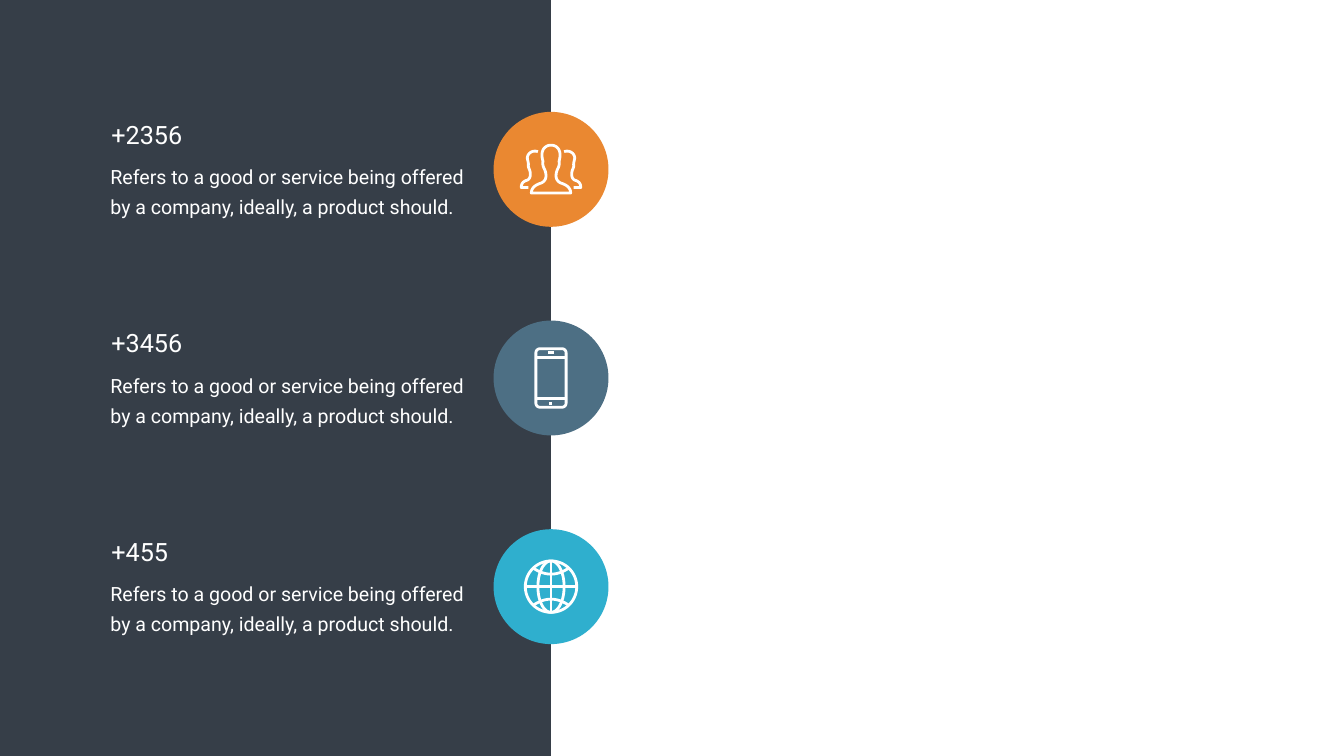
from dataclasses import dataclass
from math import cos, pi, sin

from lxml import etree
from pptx import Presentation
from pptx import util as u
from pptx.dml.color import RGBColor
from pptx.enum import shapes, text
from pptx.oxml.ns import qn

Point = tuple[float, float]


@dataclass(frozen=True)
class Theme:
    font: str = "Roboto"
    panel: str = "363E48"
    white: str = "FFFFFF"
    orange: str = "EA8831"
    slate: str = "4D6F84"
    cyan: str = "2FAFCE"
    value_size: float = 36
    body_size: float = 28
    leading: float = 43
    stroke: float = 4


@dataclass(frozen=True)
class Stroke:
    points: list[Point]
    closed: bool = False


@dataclass(frozen=True)
class Stat:
    value: str
    color: str
    icon: list[Stroke]


T = Theme()
PANEL_W, SLIDE_W, SLIDE_H = 10.93, 26.66, 15
FIRST_Y, PITCH, DIAMETER = 3.36, 4.14, 2.28
BODY = "Refers to a good or service being offered by a company, ideally, a product should."


def curve(start: Point, *segments: tuple[Point, Point, Point], steps: int = 12) -> list[Point]:
    points = [start]
    for a, b, end in segments:
        p0 = points[-1]
        for i in range(1, steps + 1):
            t = i / steps
            weights = ((1 - t) ** 3, 3 * t * (1 - t) ** 2, 3 * t * t * (1 - t), t ** 3)
            points.append(tuple(sum(w * q[k] for w, q in zip(weights, (p0, a, b, end)))
                                for k in (0, 1)))
    return points


def arc(cx: float, cy: float, rx: float, ry: float,
        start: float = 0, sweep: float = 360, steps: int = 72) -> list[Point]:
    angles = [(start + sweep * i / steps) * pi / 180 for i in range(steps + 1)]
    return [(cx + rx * cos(a), cy + ry * sin(a)) for a in angles]


def mirror(points: list[Point], flip_x: int = -1, flip_y: int = 1) -> list[Point]:
    return [(x * flip_x, y * flip_y) for x, y in points]


def people_icon() -> list[Stroke]:
    front = curve((0, -.48),
                  ((.1, -.48), (.23, -.4), (.16, -.16)),
                  ((.18, -.02), (.1, -.02), (.1, .13)),
                  ((.1, .23), (.18, .27), (.22, .28)),
                  ((.3, .31), (.39, .36), (.39, .47)))
    side = curve((.26, -.35),
                 ((.33, -.38), (.43, -.35), (.46, -.27)),
                 ((.49, -.21), (.44, -.16), (.45, -.07)),
                 ((.45, -.02), (.41, .01), (.41, .1)),
                 ((.41, .2), (.48, .22), (.49, .22)),
                 ((.57, .25), (.59, .3), (.59, .36))) + [(.45, .36)]
    return [Stroke(front + mirror(front)[::-1], True), Stroke(side), Stroke(mirror(side))]


def phone_icon() -> list[Stroke]:
    w, h, r, bar_y, mark_y = .3, .58, .08, .41, .5
    corners = ((w - r, h - r, 0), (r - w, h - r, 90),
               (r - w, r - h, 180), (w - r, r - h, 270))
    case = [p for x, y, a in corners for p in arc(x, y, r, r, a, 90, 8)]
    bars = ((w, -bar_y), (w, bar_y), (.05, -mark_y), (.03, mark_y))
    return [Stroke(case, True)] + [Stroke([(-x, y), (x, y)]) for x, y in bars]


def globe_icon() -> list[Stroke]:
    r = .51
    parallel = curve((-.34, -.36), ((-.11, -.21), (.11, -.21), (.34, -.36)))
    return [Stroke(arc(0, 0, r, r), True), Stroke(arc(0, 0, .26, r), True),
            Stroke([(0, -r), (0, r)]), Stroke([(-r, 0), (r, 0)]),
            Stroke(parallel), Stroke(mirror(parallel, 1, -1))]


def add_solid(s, kind, x: float, y: float, w: float, h: float, color: str) -> None:
    sp = s.shapes.add_shape(kind, *map(u.Inches, (x, y, w, h)))
    sp.shadow.inherit = False
    sp.fill.solid()
    sp.fill.fore_color.rgb = RGBColor.from_string(color)
    sp.line.fill.background()


def add_text(s, content: str, *, x: float, y: float, w: float, h: float, size: float,
             inset: Point = (.1, .05), leading: float | None = None) -> None:
    tf = s.shapes.add_textbox(*map(u.Inches, (x, y, w, h))).text_frame
    tf.word_wrap = True
    tf.auto_size = text.MSO_AUTO_SIZE.SHAPE_TO_FIT_TEXT
    tf.margin_left = tf.margin_right = u.Inches(inset[0])
    tf.margin_top = tf.margin_bottom = u.Inches(inset[1])
    p = tf.paragraphs[0]
    if leading:
        p.line_spacing = u.Pt(leading)
    r = p.add_run()
    r.text = content
    r.font.name = T.font
    r.font.size = u.Pt(size)
    r.font.color.rgb = RGBColor.from_string(T.white)


def add_icon(s, strokes: list[Stroke], cx: float, cy: float) -> None:
    paths = [[(u.Inches(x), u.Inches(y)) for x, y in k.points] for k in strokes]
    fb = s.shapes.build_freeform(*paths[0][0])
    for k, path in zip(strokes, paths):
        if path is not paths[0]:
            fb.move_to(*path[0])
        fb.add_line_segments(path[1:], close=k.closed)
    sp = fb.convert_to_shape(u.Inches(cx), u.Inches(cy))
    sp.shadow.inherit = False
    sp.fill.background()
    sp.line.color.rgb = RGBColor.from_string(T.white)
    sp.line.width = u.Pt(T.stroke)
    etree.SubElement(sp.line._get_or_add_ln(), qn("a:round"))


def add_stat(s, stat: Stat, cy: float) -> None:
    add_text(s, BODY, x=1.95, y=cy - .34, w=7.62, h=1.38, size=T.body_size,
             inset=(.24, .12), leading=T.leading)
    add_text(s, stat.value, x=2.11, y=cy - 1.05, w=5.67, h=.71, size=T.value_size)
    add_solid(s, shapes.MSO_SHAPE.OVAL, PANEL_W - DIAMETER / 2, cy - DIAMETER / 2,
              DIAMETER, DIAMETER, stat.color)
    add_icon(s, stat.icon, PANEL_W, cy)


def main() -> None:
    prs = Presentation()
    prs.slide_width, prs.slide_height = u.Inches(SLIDE_W), u.Inches(SLIDE_H)
    s = prs.slides.add_slide(prs.slide_layouts[6])
    add_solid(s, shapes.MSO_SHAPE.RECTANGLE, 0, 0, PANEL_W, SLIDE_H, T.panel)
    stats = (Stat("+2356", T.orange, people_icon()),
             Stat("+3456", T.slate, phone_icon()),
             Stat("+455", T.cyan, globe_icon()))
    for i, stat in enumerate(stats):
        add_stat(s, stat, FIRST_Y + i * PITCH)
    prs.save("out.pptx")


if __name__ == "__main__":
    main()
